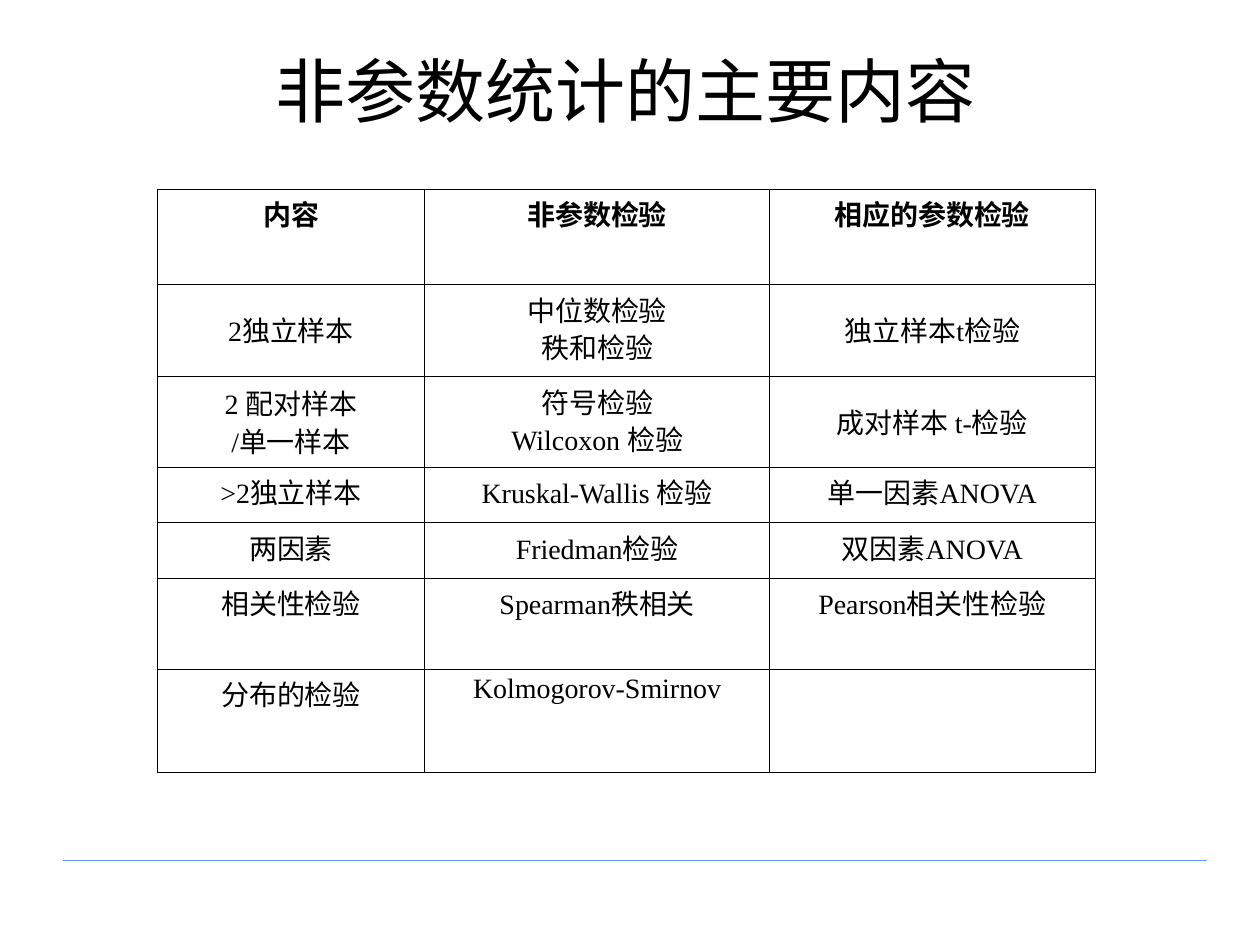
"""Build a slide with a table of nonparametric tests and their parametric peers."""
from lxml import etree
from pptx import Presentation
from pptx import util as u
from pptx.dml.color import RGBColor
from pptx.enum import shapes, text
from pptx.oxml.ns import qn

HUES = {"ink": "000000", "rule": "6699FF"}
ROWS = [
    ["内容", "非参数检验", "相应的参数检验"],
    ["2独立样本", "中位数检验\n秩和检验", "独立样本t检验"],
    ["2 配对样本\n/单一样本", "符号检验\nWilcoxon 检验", "成对样本 t-检验"],
    [">2独立样本", "Kruskal-Wallis 检验", "单一因素ANOVA"],
    ["两因素", "Friedman检验", "双因素ANOVA"],
    ["相关性检验", "Spearman秩相关", "Pearson相关性检验"],
    ["分布的检验", "Kolmogorov-Smirnov", ""],
]
WIDTHS = [2.12, 2.74, 2.58]
HEIGHTS = [0.76, 0.73, 0.72, 0.44, 0.44, 0.72, 0.82]


def add_run(para, words, face, size, bold=False):
    run = para.add_run()
    run.text = words
    run.font.name = face
    run.font.size = u.Pt(size)
    run.font.bold = bold
    run.font.color.rgb = RGBColor.from_string(HUES["ink"])


def add_edges(cell):
    props = cell._tc.get_or_add_tcPr()
    for at, side in enumerate(["a:lnL", "a:lnR", "a:lnT", "a:lnB"]):
        edge = etree.Element(qn(side), w=str(u.Pt(0.45)))
        fill = etree.SubElement(edge, qn("a:solidFill"))
        etree.SubElement(fill, qn("a:srgbClr"), val=HUES["ink"])
        props.insert(at, edge)


deck = Presentation()
deck.slide_width, deck.slide_height = u.Inches(10), u.Inches(7.5)
slide = deck.slides.add_slide(deck.slide_layouts[5])

rule = slide.shapes.add_connector(
    shapes.MSO_CONNECTOR.STRAIGHT,
    u.Inches(0.5), u.Inches(6.83), u.Inches(9.58), u.Inches(6.83))
rule.line.color.rgb = RGBColor.from_string(HUES["rule"])
rule.line.width = u.Pt(1)
etree.SubElement(rule._element.spPr, qn("a:effectLst"))

title = slide.shapes.title
title.left, title.top = u.Inches(2.09), u.Inches(0.33)
title.width, title.height = u.Inches(5.75), u.Inches(0.77)
frame = title.text_frame
frame.margin_left = frame.margin_right = u.Inches(0)
frame.word_wrap = False
frame.auto_size = text.MSO_AUTO_SIZE.NONE
frame.vertical_anchor = text.MSO_ANCHOR.TOP
add_run(frame.paragraphs[0], "非参数统计的主要内容", "Arial", 40)

table = slide.shapes.add_table(
    len(ROWS), len(WIDTHS), u.Inches(1.25), u.Inches(1.5),
    u.Inches(sum(WIDTHS)), u.Inches(sum(HEIGHTS))).table
table.first_row = table.horz_banding = False
for col, width in zip(table.columns, WIDTHS):
    col.width = u.Inches(width)
for r, (row, height) in enumerate(zip(ROWS, HEIGHTS)):
    table.rows[r].height = u.Inches(height)
    for c, words in enumerate(row):
        cell = table.cell(r, c)
        cell.fill.background()
        add_edges(cell)
        if r in (1, 2) and c != 1:
            cell.vertical_anchor = text.MSO_ANCHOR.MIDDLE
        for n, line in enumerate(words.split("\n")):
            frame = cell.text_frame
            para = frame.add_paragraph() if n else frame.paragraphs[0]
            para.alignment = text.PP_ALIGN.CENTER
            para.line_spacing = 0.93
            if line:
                add_run(para, line, "Times New Roman", 16, r == 0)

deck.save("out.pptx")
